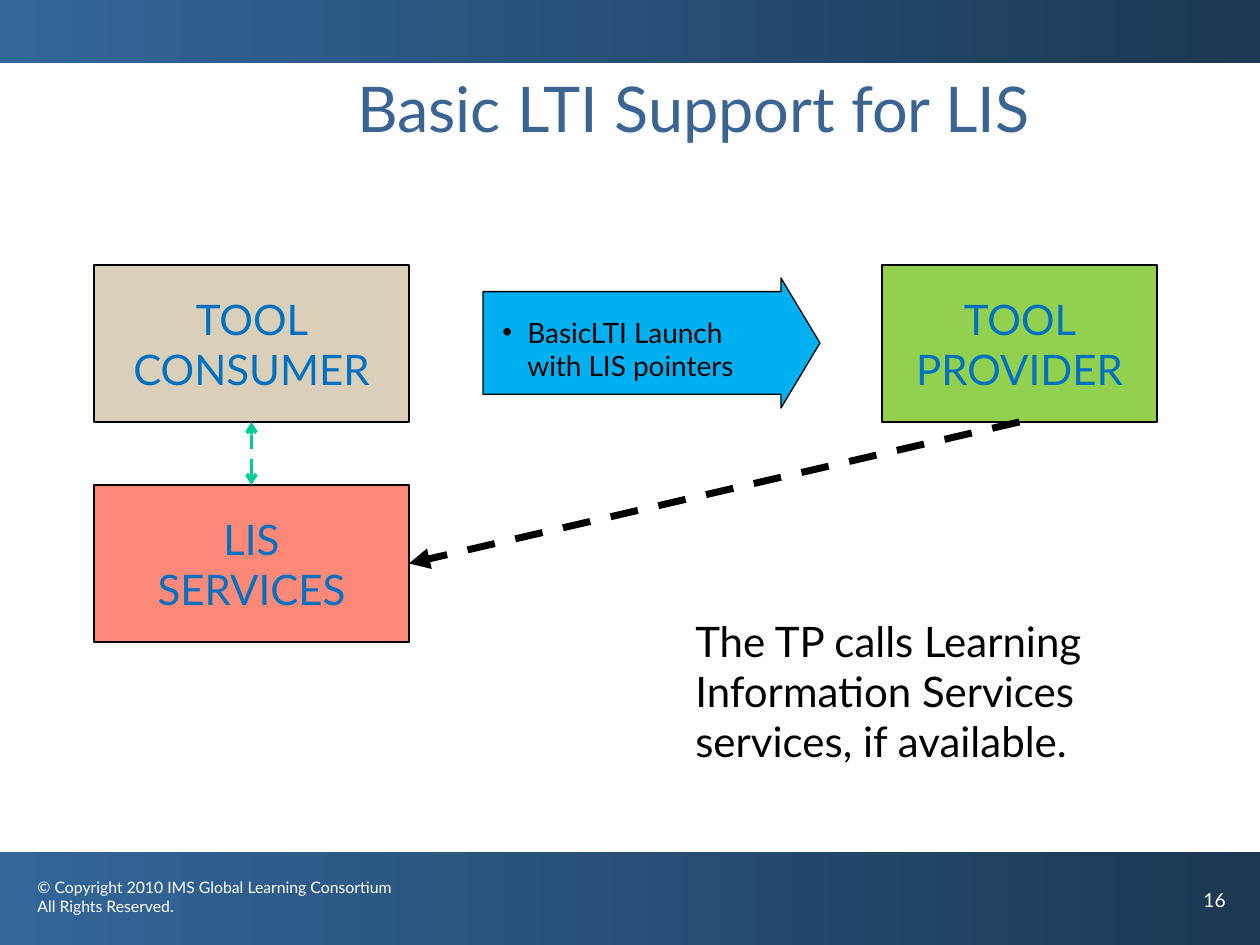
from lxml import etree
from pptx import Presentation
from pptx.dml.color import RGBColor
from pptx.enum.dml import MSO_LINE
from pptx.enum.shapes import MSO_CONNECTOR, MSO_SHAPE
from pptx.enum.text import MSO_ANCHOR, MSO_AUTO_SIZE, PP_ALIGN
from pptx.oxml.ns import qn
from pptx.util import Emu, Pt

RECTANGLE, RIGHT_ARROW = MSO_SHAPE.RECTANGLE, MSO_SHAPE.RIGHT_ARROW
STRAIGHT, DASH = MSO_CONNECTOR.STRAIGHT, MSO_LINE.DASH
TOP, MIDDLE = MSO_ANCHOR.TOP, MSO_ANCHOR.MIDDLE
LEFT, CENTER = PP_ALIGN.LEFT, PP_ALIGN.CENTER
NO_AUTOFIT = MSO_AUTO_SIZE.NONE

FONT = "Lato"
PX = 914400 / 126
COLORS = {name: RGBColor.from_string(value) for name, value in {
    "band_light": "336699", "band_dark": "1C3853", "white": "FFFFFF",
    "black": "000000", "title": "3A6492", "label": "0070C0",
    "consumer": "DACFB9", "provider": "92D050", "services": "FF8979",
    "launch": "00B0F0", "link": "00CC99",
}.items()}


def px(*lengths):
    return [Emu(round(length * PX)) for length in lengths]


def write(shape, lines, size, color, align=LEFT, anchor=TOP):
    frame = shape.text_frame
    frame.word_wrap = True
    frame.auto_size = NO_AUTOFIT
    frame.vertical_anchor = anchor
    for index, line in enumerate(lines):
        paragraph = frame.add_paragraph() if index else frame.paragraphs[0]
        paragraph.alignment = align
        run = paragraph.add_run()
        run.text = line
        run.font.name = FONT
        run.font.size = Pt(size)
        run.font.color.rgb = COLORS[color]


presentation = Presentation()
presentation.slide_width, presentation.slide_height = px(1260, 945)
slide = presentation.slides.add_slide(presentation.slide_layouts[5])
shapes = slide.shapes

# Top and bottom bands
for top, height in ((0, 63), (852, 93)):
    band = shapes.add_shape(RECTANGLE, *px(0, top, 1260, height))
    band.shadow.inherit = False
    band.line.fill.background()
    band.fill.gradient()
    band.fill.gradient_angle = 0
    for stop, name in zip(band.fill.gradient_stops, ("band_light", "band_dark")):
        stop.color.rgb = COLORS[name]

# Title
title = shapes.title
title.left, title.top, title.width, title.height = px(158, 69, 1071, 158)
write(title, ["Basic LTI Support for LIS"], 36, "title", CENTER)
title.text_frame.paragraphs[0].line_spacing = 0.95

# Boxes and launch arrow
blocks = {}
for name, kind, box, lines in (
    ("provider", RECTANGLE, (882, 265, 275, 157), ["TOOL PROVIDER"]),
    ("consumer", RECTANGLE, (94, 265, 315, 157), ["TOOL CONSUMER"]),
    ("services", RECTANGLE, (94, 485, 315, 157), ["LIS", "SERVICES"]),
    ("launch", RIGHT_ARROW, (483, 278, 337, 130), []),
):
    block = shapes.add_shape(kind, *px(*box))
    block.shadow.inherit = False
    block.fill.solid()
    block.fill.fore_color.rgb = COLORS[name]
    block.line.color.rgb = COLORS["black"]
    block.line.width = Pt(0.75)
    write(block, lines, 24, "label", CENTER, MIDDLE)
    blocks[name] = block
blocks["launch"].adjustments[0] = 0.79
blocks["launch"].adjustments[1] = 0.3

# Dashed connectors between the boxes
for start, start_site, end, end_site, color, width, arrowheads in (
    ("provider", 2, "services", 3, "black", 4, {"tailEnd": "triangle"}),
    ("services", 0, "consumer", 2, "link", 2,
     {"headEnd": "arrow", "tailEnd": "arrow"}),
):
    connector = shapes.add_connector(STRAIGHT, 0, 0, 0, 0)
    connector.begin_connect(blocks[start], start_site)
    connector.end_connect(blocks[end], end_site)
    connector.line.color.rgb = COLORS[color]
    connector.line.width = Pt(width)
    connector.line.dash_style = DASH
    properties = connector._element.spPr
    outline = properties.find(qn("a:ln"))
    for tag, arrowhead in arrowheads.items():
        etree.SubElement(outline, qn(f"a:{tag}"), type=arrowhead)
    etree.SubElement(properties, qn("a:effectLst"))

# Launch label, explanation, copyright and slide number
texts = {}
for name, box, lines, size, color in (
    ("launch", (490, 309, 280, 113),
     ["BasicLTI Launch with LIS pointers"], 16, "black"),
    ("explanation", (683, 609, 494, 164),
     ["The TP calls Learning Information Services",
      "services, if available."], 24, "black"),
    ("copyright", (25, 872, 394, 63),
     ["© Copyright 2010 IMS Global Learning Consortium",
      "All Rights Reserved."], 9, "white"),
    ("number", (1191, 882, 69, 63), ["16"], 11, "white"),
):
    texts[name] = shapes.add_textbox(*px(*box))
    write(texts[name], lines, size, color)

# Bullet on the launch label
indent = px(25)[0]
bullet = texts["launch"].text_frame.paragraphs[0]._p.get_or_add_pPr()
bullet.set("marL", str(indent))
bullet.set("indent", str(-indent))
etree.SubElement(bullet, qn("a:buFont"), typeface="Arial")
etree.SubElement(bullet, qn("a:buChar"), char="•")

presentation.save("out.pptx")
